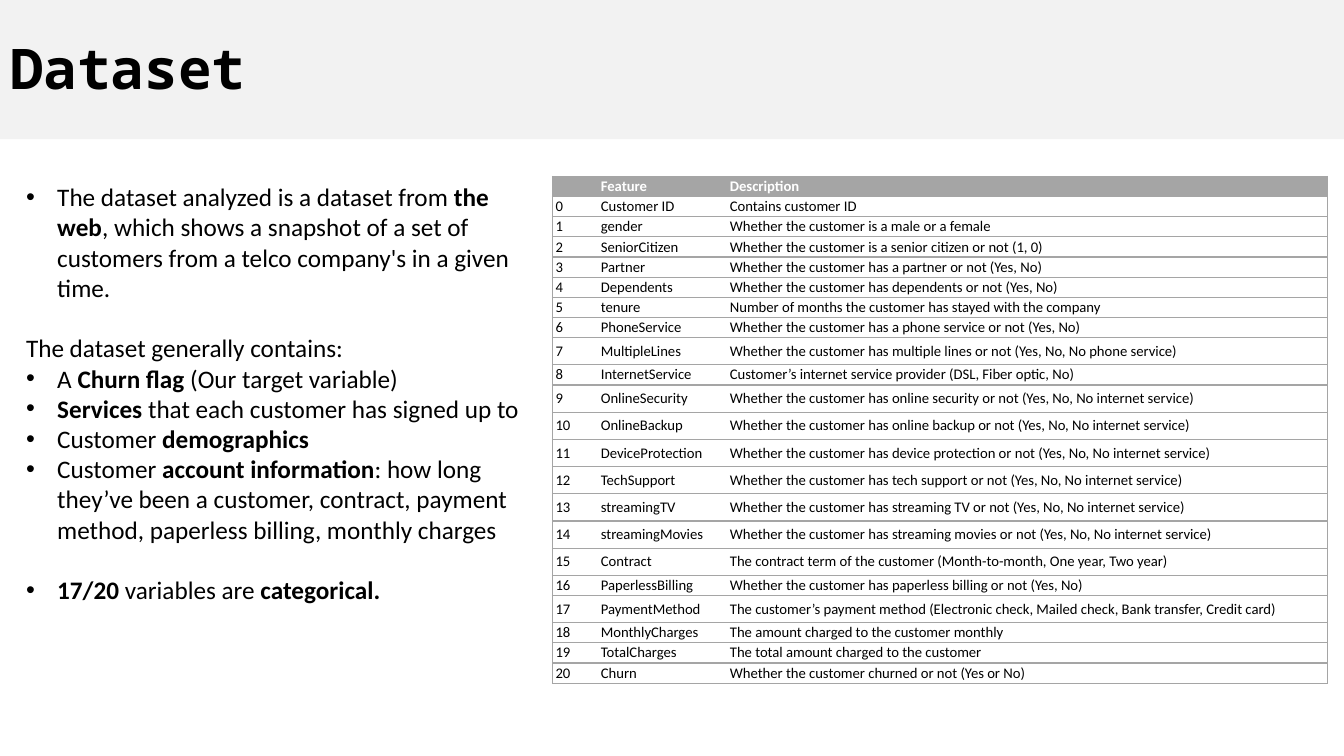
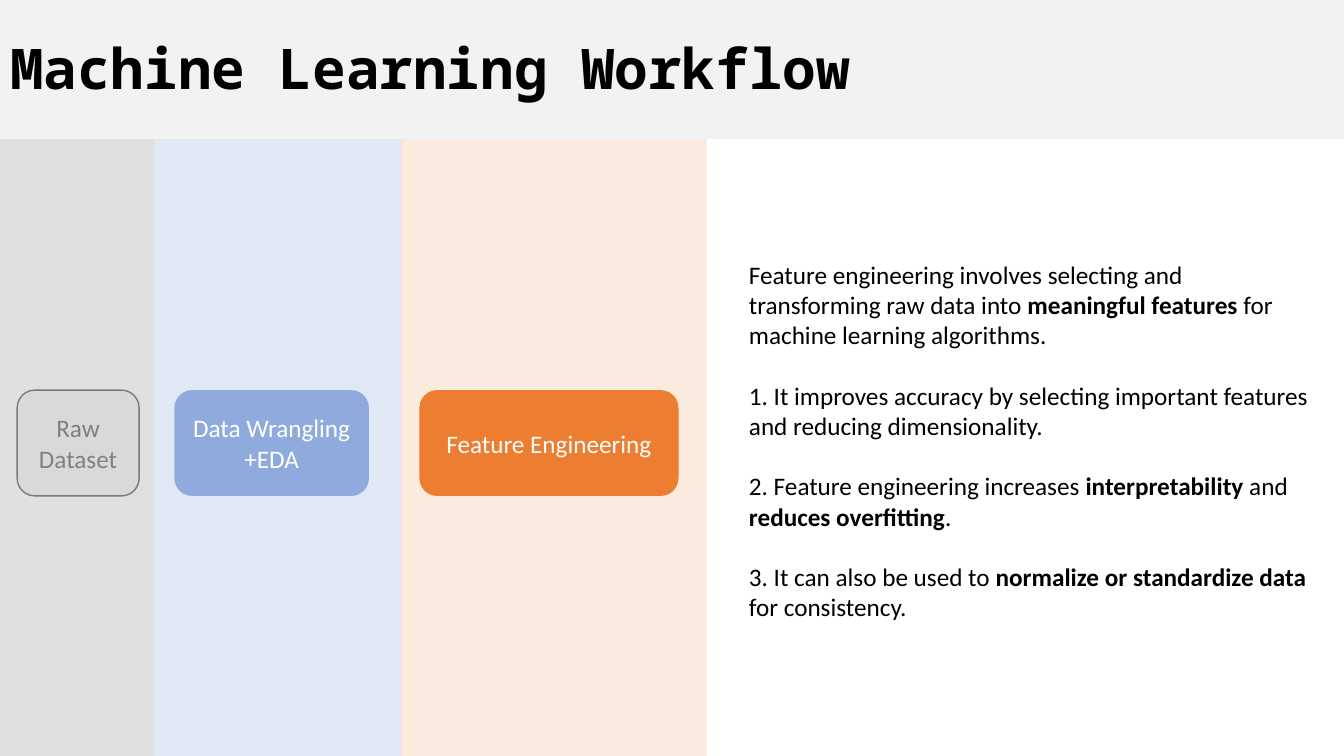
from lxml import etree
from pptx import Presentation
from pptx.dml.color import RGBColor
from pptx.enum.shapes import MSO_SHAPE
from pptx.enum.text import MSO_ANCHOR, MSO_AUTO_SIZE, PP_ALIGN
from pptx.oxml.ns import qn
from pptx.util import Inches, Pt

RECTANGLE, ROUNDED = MSO_SHAPE.RECTANGLE, MSO_SHAPE.ROUNDED_RECTANGLE
TOP, MIDDLE = MSO_ANCHOR.TOP, MSO_ANCHOR.MIDDLE
LEFT, CENTER = PP_ALIGN.LEFT, PP_ALIGN.CENTER
NO_AUTOFIT = MSO_AUTO_SIZE.NONE

COLORS = {
    "black": "000000", "white": "FFFFFF", "title band": "F2F2F2",
    "table gray": "A5A5A5", "raw band": "D9D9D9", "raw line": "7A7A7A",
    "raw text": "808080", "wrangling band": "DAE3F3", "wrangling": "8FAADC",
    "feature band": "FBE5D6", "feature": "ED7D31",
}
BODY_FONT, TITLE_FONT = "Calibri", "Noto Sans Mono"
SLIDE_WIDTH, SLIDE_HEIGHT, BAND_HEIGHT = 13.33, 7.5, 1.38
BODY_SIZE, LINE_GAP = 18, 21.6
HANGING_INDENT = 0.31

# Paragraphs are (text, bulleted, space before); ** switches bold on and off
DATASET_NOTES = [
    ("The dataset analyzed is a dataset from **the web**, which shows a snapshot of a "
     "set of customers from a telco company's in a given time.", True, 0),
    ("The dataset generally contains:", False, LINE_GAP),
    ("A **Churn flag** (Our target variable)", True, 0),
    ("**Services** that each customer has signed up to", True, 0),
    ("Customer **demographics**", True, 0),
    ("Customer **account information**: how long they’ve been a customer, contract, "
     "payment method, paperless billing, monthly charges", True, 0),
    ("**17/20** variables are **categorical.**", True, LINE_GAP),
]
WORKFLOW_NOTES = [
    ("Feature engineering involves selecting and transforming raw data into "
     "**meaningful features **for machine learning algorithms.", False, 0),
    ("1. It improves accuracy by selecting important features and reducing "
     "dimensionality.", False, LINE_GAP),
    ("2. Feature engineering increases **interpretability** and "
     "**reduces overfitting**.", False, LINE_GAP),
    ("3. It can also be used to **normalize or standardize data **for consistency.",
     False, LINE_GAP),
]
FEATURES = [
    ("Customer ID", "Contains customer ID"),
    ("gender", "Whether the customer is a male or a female"),
    ("SeniorCitizen", "Whether the customer is a senior citizen or not (1, 0)"),
    ("Partner", "Whether the customer has a partner or not (Yes, No)"),
    ("Dependents", "Whether the customer has dependents or not (Yes, No)"),
    ("tenure", "Number of months the customer has stayed with the company"),
    ("PhoneService", "Whether the customer has a phone service or not (Yes, No)"),
    ("MultipleLines",
     "Whether the customer has multiple lines or not (Yes, No, No phone service)"),
    ("InternetService", "Customer’s internet service provider (DSL, Fiber optic, No)"),
    ("OnlineSecurity",
     "Whether the customer has online security or not (Yes, No, No internet service)"),
    ("OnlineBackup",
     "Whether the customer has online backup or not (Yes, No, No internet service)"),
    ("DeviceProtection",
     "Whether the customer has device protection or not (Yes, No, No internet service)"),
    ("TechSupport",
     "Whether the customer has tech support or not (Yes, No, No internet service)"),
    ("streamingTV",
     "Whether the customer has streaming TV or not (Yes, No, No internet service)"),
    ("streamingMovies",
     "Whether the customer has streaming movies or not (Yes, No, No internet service)"),
    ("Contract", "The contract term of the customer (Month-to-month, One year, Two year)"),
    ("PaperlessBilling", "Whether the customer has paperless billing or not (Yes, No)"),
    ("PaymentMethod", "The customer’s payment method "
     "(Electronic check, Mailed check, Bank transfer, Credit card)"),
    ("MonthlyCharges", "The amount charged to the customer monthly"),
    ("TotalCharges", "The total amount charged to the customer"),
    ("Churn", "Whether the customer churned or not (Yes or No)"),
]
TALL_FEATURES = {7, *range(9, 16), 17}
COLUMN_WIDTHS = (0.45, 1.28, 5.96)
SHORT_ROW, TALL_ROW = 0.2, 0.27

# label, band left and width, card left and width, then colour names
STAGES = [
    ("Raw Dataset", 0, 1.53, 0.17, 1.21, "raw band", "raw band", "raw line", "raw text"),
    ("Data Wrangling +EDA", 1.53, 2.47, 1.73, 1.93,
     "wrangling band", "wrangling", None, "white"),
    ("Feature Engineering", 3.98, 3.03, 4.16, 2.57,
     "feature band", "feature", None, "white"),
]
CARD_TOP, CARD_HEIGHT = 2.49, 1.05


def color(name):
    return RGBColor.from_string(COLORS[name])


def set_all(target, **values):
    for name, value in values.items():
        setattr(target, name, value)


def add_span(para, text, size, color_name="black", bold=False, face=BODY_FONT):
    span = para.add_run()
    span.text = text
    set_all(span.font, name=face, size=Pt(size), bold=bold)
    span.font.color.rgb = color(color_name)


def fill_solid(target, color_name):
    target.fill.solid()
    target.fill.fore_color.rgb = color(color_name)


def add_block(page, kind, box, fill, line=None):
    block = page.shapes.add_shape(kind, *map(Inches, box))
    block.shadow.inherit = False
    fill_solid(block, fill)
    if line:
        block.line.color.rgb = color(line)
        block.line.width = Pt(1)
    else:
        block.line.fill.background()
    return block


def add_page(deck, title):
    """Adds a slide whose title fills the gray top band."""
    page = deck.slides.add_slide(deck.slide_layouts[5])
    holder = page.shapes.title
    set_all(holder, left=0, top=0, width=Inches(SLIDE_WIDTH), height=Inches(BAND_HEIGHT))
    fill_solid(holder, "title band")
    set_all(holder.text_frame, auto_size=NO_AUTOFIT, word_wrap=True, vertical_anchor=TOP,
            margin_left=Inches(0.1), margin_top=Inches(0.33), margin_bottom=0)
    para = holder.text_frame.paragraphs[0]
    set_all(para, alignment=LEFT, line_spacing=1.0)
    add_span(para, title, 40, bold=True, face=TITLE_FONT)
    return page


def add_bullet(para):
    properties = para._p.get_or_add_pPr()
    indent = Inches(HANGING_INDENT)
    properties.set("marL", str(indent))
    properties.set("indent", str(-indent))
    etree.SubElement(properties, qn("a:buFont"), typeface="Arial")
    etree.SubElement(properties, qn("a:buChar"), char="•")


def add_notes(page, box, notes):
    frame = page.shapes.add_textbox(*map(Inches, box)).text_frame
    frame.word_wrap = True
    for index, (text, bulleted, gap) in enumerate(notes):
        para = frame.add_paragraph() if index else frame.paragraphs[0]
        if bulleted:
            add_bullet(para)
        para.space_before = Pt(gap)
        for part, words in enumerate(text.split("**")):
            if words:
                add_span(para, words, BODY_SIZE, bold=part % 2 == 1)


def set_borders(cell, drawn_sides):
    properties = cell._tc.get_or_add_tcPr()
    for side in "LRTB":
        line = etree.SubElement(properties, qn(f"a:ln{side}"), w=str(Pt(1)))
        if side in drawn_sides:
            paint = etree.SubElement(line, qn("a:solidFill"))
            etree.SubElement(paint, qn("a:srgbClr"), val=COLORS["table gray"])
        else:
            etree.SubElement(line, qn("a:noFill"))


def add_feature_table(page, left, top):
    rows = [("", "Feature", "Description")]
    rows += [(str(number), *feature) for number, feature in enumerate(FEATURES)]
    heights = [SHORT_ROW] + [TALL_ROW if number in TALL_FEATURES else SHORT_ROW
                             for number in range(len(FEATURES))]
    box = (left, top, sum(COLUMN_WIDTHS), sum(heights))
    table = page.shapes.add_table(len(rows), len(COLUMN_WIDTHS), *map(Inches, box)).table
    table.horz_banding = False
    for column, width in zip(table.columns, COLUMN_WIDTHS):
        column.width = Inches(width)
    for row_index, (texts, height) in enumerate(zip(rows, heights)):
        table.rows[row_index].height = Inches(height)
        header = row_index == 0
        for column_index, (text, sides) in enumerate(zip(texts, ("LTB", "TB", "RTB"))):
            cell = table.cell(row_index, column_index)
            set_borders(cell, sides)
            fill_solid(cell, "table gray" if header else "white")
            set_all(cell, vertical_anchor=MIDDLE,
                    margin_left=Inches(0.03), margin_right=Inches(0.03),
                    margin_top=Inches(0.01), margin_bottom=Inches(0.01))
            para = cell.text_frame.paragraphs[0]
            para.font.size = Pt(10.5)
            if text:
                add_span(para, text, 10.5, "white" if header else "black", header)


def add_stage(page, top, height, stage):
    """Draws one tinted column with its rounded card."""
    label, band_left, band_width, card_left, card_width, tint, fill, line, ink = stage
    band = add_block(page, RECTANGLE, (band_left, top, band_width, height), tint)
    tint_element = band._element.spPr.find(".//" + qn("a:srgbClr"))
    etree.SubElement(tint_element, qn("a:alpha"), val="80000")
    card = add_block(page, ROUNDED,
                     (card_left, top + CARD_TOP, card_width, CARD_HEIGHT), fill, line)
    set_all(card.text_frame, word_wrap=True, vertical_anchor=MIDDLE)
    para = card.text_frame.paragraphs[0]
    para.alignment = CENTER
    add_span(para, label, BODY_SIZE, ink)


def build_dataset(deck):
    page = add_page(deck, "Dataset")
    add_feature_table(page, 5.48, 1.75)
    add_notes(page, (0.16, 1.75, 5.13, 5.25), DATASET_NOTES)


def build_workflow(deck):
    page = add_page(deck, "Machine Learning Workflow")
    for stage in STAGES:
        add_stage(page, BAND_HEIGHT, SLIDE_HEIGHT - BAND_HEIGHT, stage)
    add_notes(page, (7.33, 2.52, 5.83, 3.74), WORKFLOW_NOTES)


def main():
    deck = Presentation()
    set_all(deck, slide_width=Inches(SLIDE_WIDTH), slide_height=Inches(SLIDE_HEIGHT))
    build_dataset(deck)
    build_workflow(deck)
    deck.save("out.pptx")


if __name__ == "__main__":
    main()
